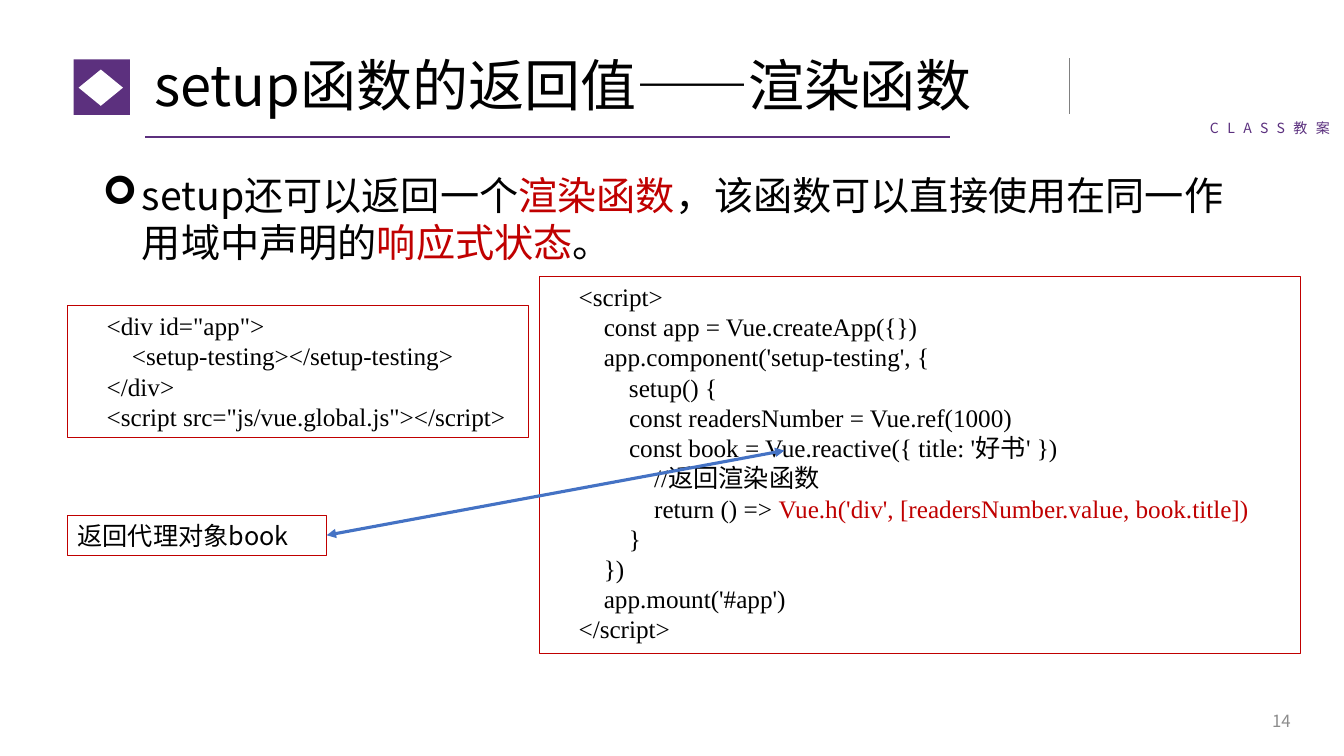
from dataclasses import dataclass

from lxml.etree import SubElement
from pptx import Presentation
from pptx.dml.color import RGBColor
from pptx.enum.shapes import MSO_CONNECTOR as Connector, MSO_SHAPE as Shape
from pptx.enum.text import MSO_ANCHOR as Anchor, PP_ALIGN as Align
from pptx.oxml.ns import qn
from pptx.util import Inches, Pt


@dataclass(frozen=True)
class Theme:
    sans: str = "Noto Sans CJK SC"
    serif: str = "Times New Roman"
    black: str = "000000"
    red: str = "C00000"
    purple: str = "5C307E"
    label: str = "5B307E"
    gray: str = "808080"
    page: str = "8C8C8C"
    blue: str = "4472C4"
    white: str = "FFFFFF"
    title_size: int = 40
    body_size: int = 28
    code_size: int = 18
    page_size: int = 12
    label_size: int = 10


theme = Theme()

TITLE = "setup函数的返回值——渲染函数"
COURSE = "CLASS教案"
PAGE = "14"
STATEMENT = [
    ("setup还可以返回一个", theme.black),
    ("渲染函数", theme.red),
    ("，该函数可以直接使用在同一作用域中声明的", theme.black),
    ("响应式状态", theme.red),
    ("。", theme.black),
]
MARKUP = [
    '<div id="app">',
    "    <setup-testing></setup-testing>",
    "</div>",
    '<script src="js/vue.global.js"></script>',
]
RENDER_CALL = "Vue.h('div', [readersNumber.value, book.title])"
SCRIPT = [
    "<script>",
    "    const app = Vue.createApp({})",
    "    app.component('setup-testing', {",
    "        setup() {",
    "\tconst readersNumber = Vue.ref(1000)",
    "\tconst book = Vue.reactive({ title: '好书' })",
    "            //返回渲染函数",
    [("            return () => ", theme.black), (RENDER_CALL, theme.red)],
    "        }",
    "    })",
    "    app.mount('#app')",
    "</script>",
]
NOTE = "返回代理对象book"

BOXES = {
    "title": (1.43, 0.4, 8.99, 0.96),
    "statement": (0.92, 1.65, 11.5, 5.02),
    "course": (11.86, 1.14, 1.47, 0.27),
    "page": (9.9, 6.95, 3, 0.4),
    "markup": (0.67, 3.03, 4.57, 1.31),
    "script": (5.35, 2.74, 7.55, 3.74),
    "note": (0.67, 5.11, 2.57, 0.4),
    "emblem": (0.73, 0.59, 0.56, 0.55),
    "emblem_mark": (0.78, 0.69, 0.44, 0.36),
}
RULES = [
    ((1.44, 1.36), (9.42, 1.36), theme.purple, 1.5),
    ((10.61, 0.58), (10.61, 1.13), theme.gray, 1),
]
BOOK_ARROW = ((3.24, 5.31), (7.78, 4.47), theme.blue, 2.25)
CODE_INDENT = 0.29
BULLET_INDENT = 0.39


def rgb(color):
    return RGBColor.from_string(color)


def place(name):
    return [Inches(length) for length in BOXES[name]]


def write(shape, lines, size, font=theme.sans, color=theme.black, align=Align.LEFT,
          anchor=Anchor.TOP, indent=0, bullet=None, leading=None, tracking=None):
    frame = shape.text_frame
    frame.word_wrap = True
    frame.vertical_anchor = anchor
    for index, line in enumerate(lines):
        paragraph = frame.paragraphs[0] if index == 0 else frame.add_paragraph()
        paragraph.alignment = align
        if leading:
            paragraph.line_spacing = leading
        properties = paragraph._p.get_or_add_pPr()
        if indent:
            properties.set("marL", str(Inches(indent)))
            properties.set("indent", str(-Inches(indent) if bullet else 0))
        if bullet:
            SubElement(properties, qn("a:buFont"), typeface="Wingdings")
            SubElement(properties, qn("a:buChar"), char=bullet)
        paragraph.font.size = Pt(size)
        paragraph.font.name = font
        if isinstance(line, str):
            paragraph.font.color.rgb = rgb(color)
            paragraph.add_run().text = line
        else:
            for words, run_color in line:
                run = paragraph.add_run()
                run.text = words
                run.font.color.rgb = rgb(run_color)
        defaults = paragraph.font._element
        SubElement(defaults, qn("a:ea"), typeface=theme.sans)
        if tracking:
            defaults.set("spc", str(tracking * 100))


def add_block(slide, name, fill=None, line=None, kind=Shape.RECTANGLE):
    block = slide.shapes.add_shape(kind, *place(name))
    block.shadow.inherit = False
    if fill:
        block.fill.solid()
        block.fill.fore_color.rgb = rgb(fill)
    else:
        block.fill.background()
    if line:
        block.line.color.rgb = rgb(line)
        block.line.width = Pt(0.75)
    else:
        block.line.fill.background()
    return block


def add_line(slide, start, end, color, width):
    points = [Inches(length) for length in (*start, *end)]
    line = slide.shapes.add_connector(Connector.STRAIGHT, *points)
    line.line.color.rgb = rgb(color)
    line.line.width = Pt(width)
    SubElement(line._element.spPr, qn("a:effectLst"))
    return line


def main():
    deck = Presentation()
    deck.slide_width, deck.slide_height = Inches(13.33), Inches(7.5)
    slide = deck.slides.add_slide(deck.slide_layouts[6])

    add_block(slide, "emblem", fill=theme.purple)
    add_block(slide, "emblem_mark", fill=theme.white, kind=Shape.DIAMOND)
    for rule in RULES:
        add_line(slide, *rule)

    texts = [
        ("course", COURSE, theme.label_size,
         dict(color=theme.label, align=Align.CENTER, tracking=6)),
        ("title", TITLE, theme.title_size, dict(anchor=Anchor.MIDDLE, leading=0.9)),
        ("statement", STATEMENT, theme.body_size, dict(indent=BULLET_INDENT, bullet="➢")),
        ("page", PAGE, theme.page_size,
         dict(color=theme.page, align=Align.RIGHT, anchor=Anchor.MIDDLE)),
    ]
    for name, line, size, style in texts:
        write(slide.shapes.add_textbox(*place(name)), [line], size, **style)

    code_style = dict(font=theme.serif, align=Align.JUSTIFY, indent=CODE_INDENT)
    panels = [("markup", MARKUP, code_style), ("script", SCRIPT, code_style),
              ("note", [NOTE], {})]
    for name, lines, style in panels:
        panel = add_block(slide, name, line=theme.red)
        write(panel, lines, theme.code_size, **style)

    arrow = add_line(slide, *BOOK_ARROW)
    arrow.begin_connect(panel, 3)
    outline = arrow.line._get_or_add_ln()
    for end in ("a:headEnd", "a:tailEnd"):
        SubElement(outline, qn(end), type="triangle")

    deck.save("out.pptx")


if __name__ == "__main__":
    main()
